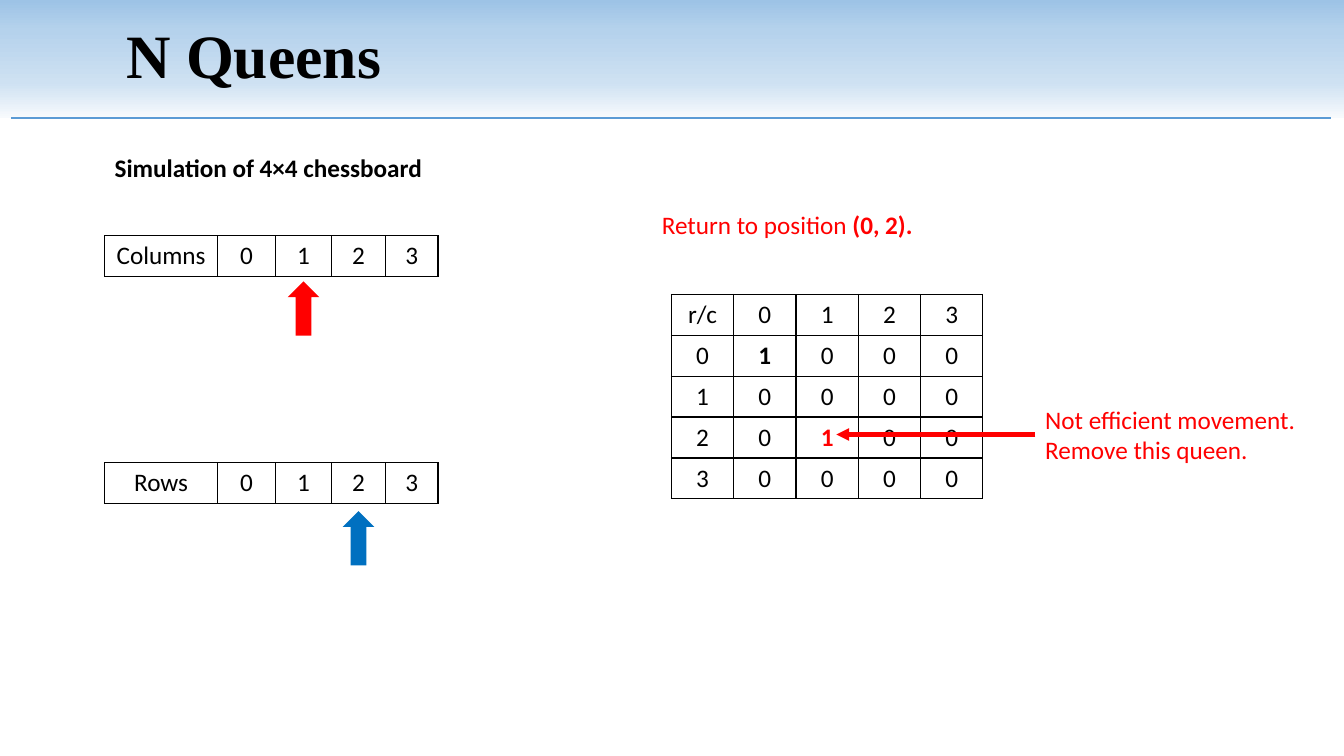
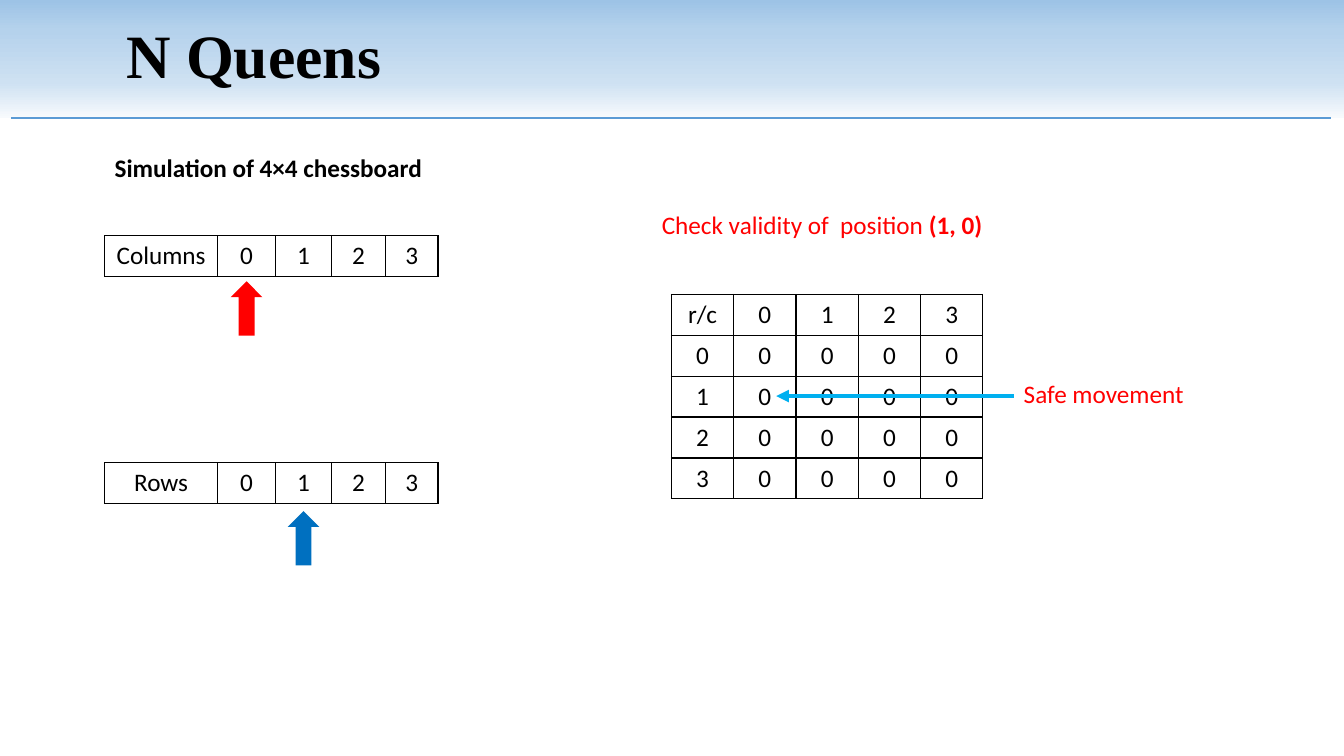
import lxml.etree
import pptx
import pptx.dml.color
import pptx.enum.shapes
import pptx.enum.text
import pptx.oxml.ns
import pptx.util

Cm = pptx.util.Cm
Pt = pptx.util.Pt
RGB = pptx.dml.color.RGBColor.from_string
qn = pptx.oxml.ns.qn
SHAPE = pptx.enum.shapes.MSO_SHAPE
LINE = pptx.enum.shapes.MSO_CONNECTOR.STRAIGHT
ALIGN = pptx.enum.text.PP_ALIGN
MIDDLE = pptx.enum.text.MSO_ANCHOR.MIDDLE


class Theme:
    ink = "000000"
    red = "FF0000"
    blue = "0070C0"
    sky = "00B0F0"
    rule = "5B9BD5"
    band = [(0, "9DC3E6"), (26, "B5D2EC"), (70, "CEE1F2"), (100, "F7FAFD")]
    head = "Times New Roman"
    body = "Calibri"
    big = 44
    size = 18


def put(frame, text, tail="", font=Theme.body, size=Theme.size,
        color=Theme.ink, bold=False, align=ALIGN.LEFT, gap=1.0):
    """Write one paragraph per line of text; tail is a bold ending."""
    frame.word_wrap = True
    for i, line in enumerate(text.split("\n")):
        para = frame.paragraphs[0] if i == 0 else frame.add_paragraph()
        para.alignment = align
        para.line_spacing = gap
        for part, heavy in ((line, bold), (tail, True)):
            if part:
                run = para.add_run()
                run.text = part
                run.font.name = font
                run.font.size = Pt(size)
                run.font.bold = heavy
                run.font.color.rgb = RGB(color)


def grid(slide, left, top, widths, rows, marks):
    """Add a ruled table; marks maps (row, column) to a colour for bold text."""
    table = slide.shapes.add_table(
        len(rows), len(widths), Cm(left), Cm(top),
        Cm(sum(widths)), Cm(1.02 * len(rows))).table
    table.first_row = table.horz_banding = False
    for col, width in zip(table.columns, widths):
        col.width = Cm(width)
    for r, row in enumerate(rows):
        for c, text in enumerate(row):
            cell = table.cell(r, c)
            props = cell._tc.get_or_add_tcPr()
            for side in ("a:lnL", "a:lnR", "a:lnT", "a:lnB"):
                edge = lxml.etree.SubElement(props, qn(side), w=str(Pt(1)))
                fill = lxml.etree.SubElement(edge, qn("a:solidFill"))
                lxml.etree.SubElement(fill, qn("a:srgbClr"), val=Theme.ink)
            cell.fill.background()
            put(cell.text_frame, str(text), align=ALIGN.CENTER,
                color=marks.get((r, c), Theme.ink), bold=(r, c) in marks)


left = 2.64
lane = [2.84, 1.47, 1.4, 1.37, 1.32]
steps = [
    dict(col=1, row=2, text="Return to position ", tail="(0, 2).",
         queens={(1, 1): Theme.ink, (3, 2): Theme.red},
         note="Not efficient movement.\nRemove this queen.",
         spot=(26.09, 10.06, 7.01, 1.8), tip=(21.08, 10.95), color=Theme.red),
    dict(col=0, row=1, text="Check validity of  position ", tail="(1, 0)",
         queens={}, note="Safe movement",
         spot=(25.55, 9.4, 7.32, 1.02), tip=(19.56, 9.98), color=Theme.sky),
]

deck = pptx.Presentation()
deck.slide_width = Cm(33.87)
deck.slide_height = Cm(19.05)

for step in steps:
    slide = deck.slides.add_slide(deck.slide_layouts[6])
    shapes = slide.shapes

    band = shapes.add_shape(SHAPE.RECTANGLE, 0, 0, deck.slide_width, Cm(2.97))
    band.shadow.inherit = False
    band.line.fill.background()
    band.fill.gradient()
    band.fill.gradient_angle = 270
    stops = band._element.spPr.find(qn("a:gradFill")).find(qn("a:gsLst"))
    for stop in list(stops):
        stops.remove(stop)
    for place, color in Theme.band:
        stop = lxml.etree.SubElement(stops, qn("a:gs"), pos=str(place * 1000))
        lxml.etree.SubElement(stop, qn("a:srgbClr"), val=color)
    band.text_frame.margin_left = Cm(3.18)
    band.text_frame.vertical_anchor = MIDDLE
    put(band.text_frame, "N Queens", font=Theme.head, size=Theme.big,
        bold=True, gap=0.9)

    board = [["r/c", 0, 1, 2, 3]]
    for r in range(4):
        board.append([r] + [int((r + 1, c + 1) in step["queens"])
                            for c in range(4)])
    grid(slide, 16.92, 7.42, [1.57] * 5, board, step["queens"])

    for name, top, drop, color, index in (
            ("Columns", 5.94, 1.15, Theme.red, step["col"]),
            ("Rows", 11.66, 1.22, Theme.blue, step["row"])):
        grid(slide, left, top, lane, [[name, 0, 1, 2, 3]], {})
        mid = left + sum(lane[:index + 1]) + lane[index + 1] / 2
        arrow = shapes.add_shape(SHAPE.UP_ARROW, Cm(mid - 0.4), Cm(top + drop),
                                 Cm(0.8), Cm(1.37))
        arrow.shadow.inherit = False
        arrow.fill.solid()
        arrow.fill.fore_color.rgb = RGB(color)
        arrow.line.fill.background()

    for spot, text, look in (
            ((left, 3.71, 20.7, 1.02), "Simulation of 4×4 chessboard",
             dict(bold=True)),
            ((16.43, 5.16, 13.84, 1.02), step["text"],
             dict(tail=step["tail"], color=Theme.red)),
            (step["spot"], step["note"], dict(color=Theme.red))):
        box = shapes.add_textbox(*map(Cm, spot))
        put(box.text_frame, text, **look)

    x, y = step["tip"]
    for ends, color, width, head in (
            ((0.28, 2.97, 33.53, 2.97), Theme.rule, 1.5, False),
            ((step["spot"][0], y, x, y), step["color"], 3, True)):
        line = shapes.add_connector(LINE, *map(Cm, ends))
        line.line.color.rgb = RGB(color)
        line.line.width = Pt(width)
        if head:
            lxml.etree.SubElement(line.line._get_or_add_ln(), qn("a:tailEnd"),
                                  type="triangle")
        lxml.etree.SubElement(line._element.spPr, qn("a:effectLst"))

deck.save("out.pptx")
